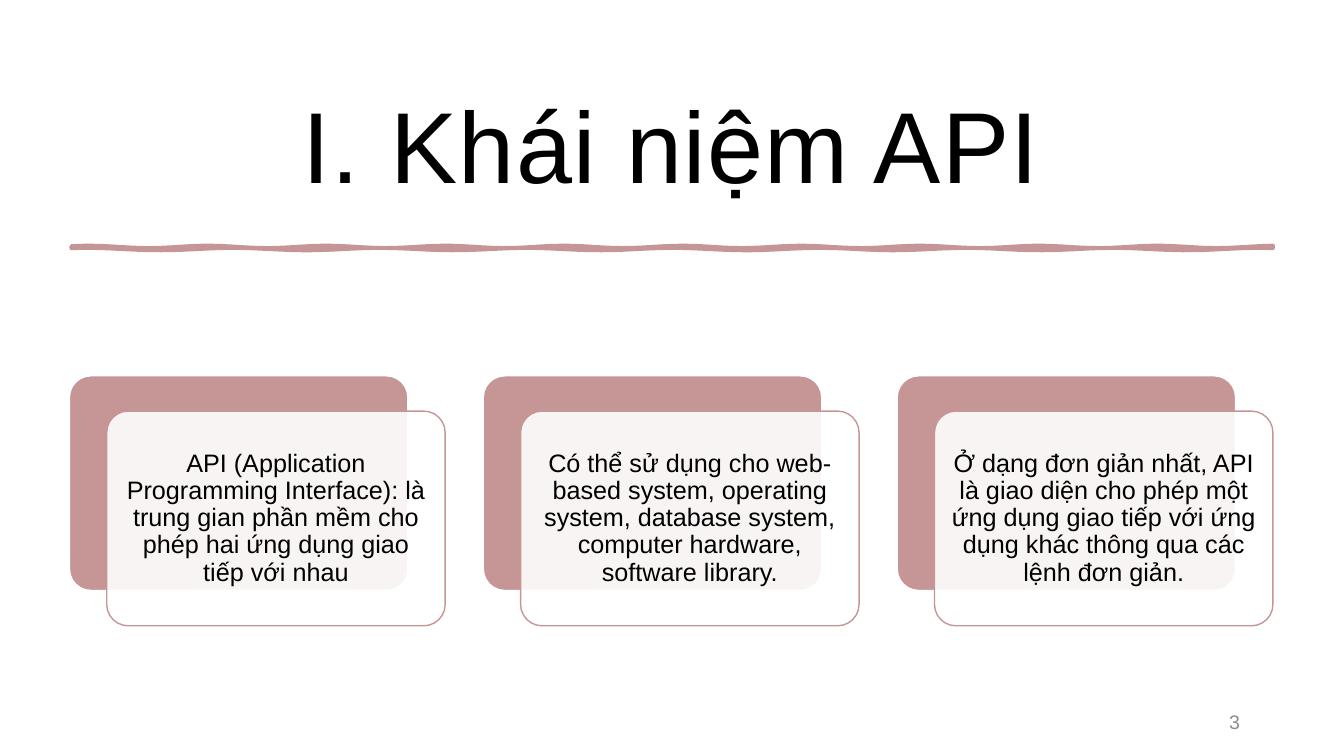
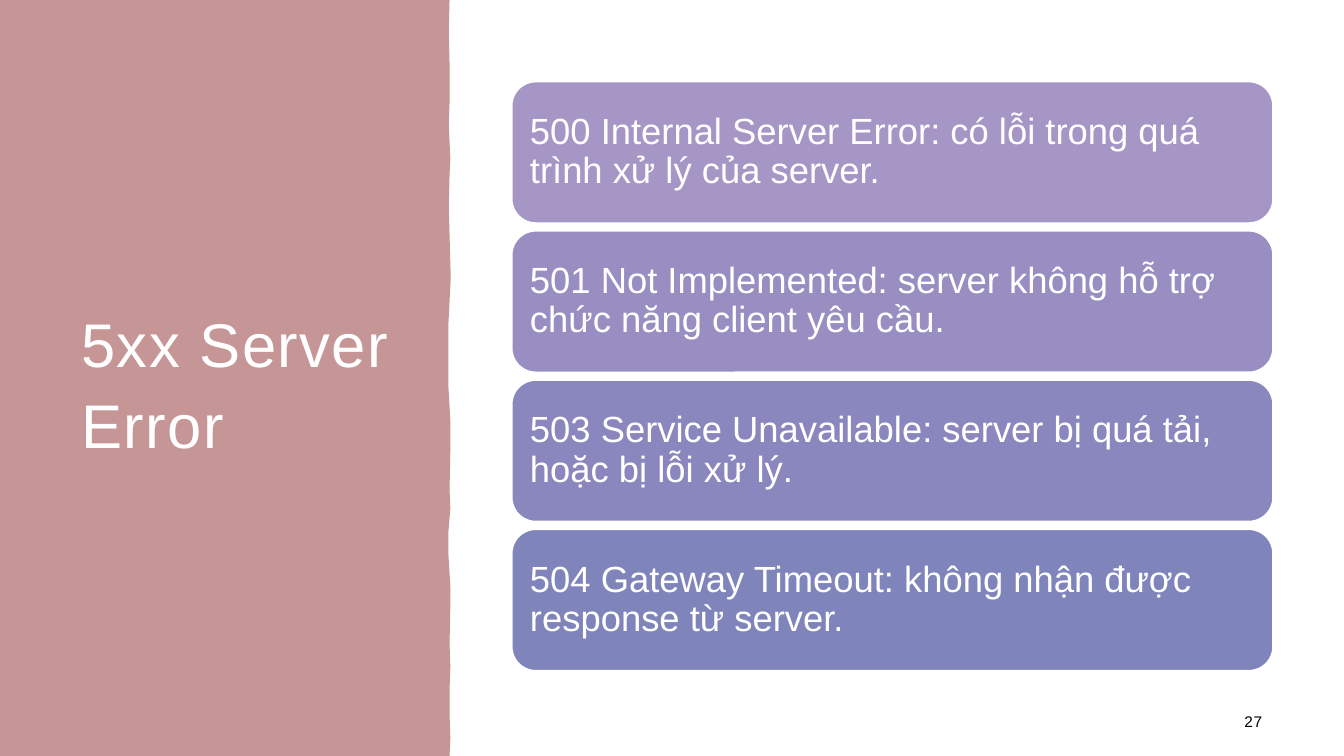
from math import sin
from lxml.etree import SubElement
from pptx import Presentation
from pptx.dml.color import RGBColor
from pptx.enum.shapes import MSO_SHAPE
from pptx.enum.text import MSO_ANCHOR, MSO_AUTO_SIZE, PP_ALIGN
from pptx.oxml.ns import qn
from pptx.util import Cm, Pt

HUES = {
    "rose": "C69697",
    "white": "FFFFFF",
    "black": "000000",
    "grey": "8C8C8C",
    "bars": ["A696C6", "988EC2", "8A87BE", "7F84BA"],
}
FONT = "Arial"
WIDE, HIGH = 33.87, 19.05
EDGE = 1.75
PADS = (0.3, 0.3, 0.3, 0.25)

CARDS = [
    "API (Application Programming Interface): là trung gian phần mềm cho phép hai ứng dụng giao tiếp với nhau",
    "Có thể sử dụng cho web-based system, operating system, database system, computer hardware, software library.",
    "Ở dạng đơn giản nhất, API là giao diện cho phép một ứng dụng giao tiếp với ứng dụng khác thông qua các lệnh đơn giản.",
]
BARS = [
    "500 Internal Server Error: có lỗi trong quá trình xử lý của server.",
    "501 Not Implemented: server không hỗ trợ chức năng client yêu cầu.",
    "503 Service Unavailable: server bị quá tải, hoặc bị lỗi xử lý.",
    "504 Gateway Timeout: không nhận được response từ server.",
]
TORN = [
    (11.33, 0), (11.31, 0.8), (11.33, 1.6), (11.33, 2.59), (11.31, 3.1),
    (11.33, 3.58), (11.35, 4), (11.33, 4.42), (11.31, 5.2), (11.33, 5.92),
    (11.36, 7), (11.3, 8.18), (11.3, 9.73), (11.35, 10.6), (11.35, 11.33),
    (11.33, 12.34), (11.35, 12.8), (11.3, 13.41), (11.3, 13.94),
    (11.35, 14.8), (11.35, 15.24), (11.33, 16.23), (11.35, 16.8),
    (11.33, 17.4), (11.33, 18), (11.35, 18.62), (11.33, HIGH),
]


def tint(name):
    return RGBColor.from_string(name)


def paint(shape, fill, line=None, width=1):
    shape.shadow.inherit = False
    shape.fill.solid()
    shape.fill.fore_color.rgb = tint(fill)
    if line:
        shape.line.color.rgb = tint(line)
        shape.line.width = Pt(width)
    else:
        shape.line.fill.background()


def fade(shape, share):
    color = shape.fill._xPr.find(qn("a:solidFill"))[0]
    SubElement(color, qn("a:alpha")).set("val", str(share * 1000))


def write(shape, text, size, hue, align, pads=PADS, lead=1.0, track=0):
    frame = shape.text_frame
    frame.word_wrap = True
    frame.auto_size = MSO_AUTO_SIZE.NONE
    frame.vertical_anchor = MSO_ANCHOR.MIDDLE
    (frame.margin_left, frame.margin_top,
     frame.margin_right, frame.margin_bottom) = map(Cm, pads)
    para = frame.paragraphs[0]
    para.alignment = align
    para.line_spacing = lead
    run = para.add_run()
    run.text = text
    if track:
        run._r.get_or_add_rPr().set("spc", str(round(track * 100)))
    para.font.name = FONT
    para.font.size = Pt(size)
    para.font.color.rgb = tint(hue)


def head(slide, text, box, size, hue, align, lead=1.0):
    title = slide.shapes.title
    title.left, title.top, title.width, title.height = map(Cm, box)
    write(title, text, size, hue, align, lead=lead, track=1)


def page(slide, text, right, size, hue):
    wide = 5.08
    box = slide.shapes.add_textbox(
        Cm(right - wide), Cm(17.65), Cm(wide), Cm(1.02))
    write(box, text, size, hue, PP_ALIGN.RIGHT, track=0.4)


def trace(slide, points):
    spots = [(Cm(x), Cm(y)) for x, y in points]
    pen = slide.shapes.build_freeform(*spots[0])
    pen.add_line_segments(spots[1:], close=True)
    return pen.convert_to_shape()


def wave(slide, left, right, top, thick):
    count = 120
    step = (right - left) / count
    spans = [left + step * i for i in range(count + 1)]
    upper = [(x, top + 0.03 * sin(2.1 * x)) for x in spans]
    lower = [(x, top + thick + 0.03 * sin(1.7 * x + 1)) for x in spans]
    paint(trace(slide, upper + lower[::-1]),
          HUES["rose"], HUES["rose"], 2.75)


def block(slide, box, fill, line, bend):
    shape = slide.shapes.add_shape(
        MSO_SHAPE.ROUNDED_RECTANGLE, *map(Cm, box))
    shape.adjustments[0] = bend
    paint(shape, fill, line)
    return shape


def card(slide, left, top, text):
    size = (8.53, 5.41)
    block(slide, (left, top, *size), HUES["rose"], HUES["white"], 0.1)
    front = block(slide, (left + 0.94, top + 0.89, *size),
                  HUES["white"], HUES["rose"], 0.1)
    fade(front, 90)
    write(front, text, 18, HUES["black"], PP_ALIGN.CENTER, (0.18,) * 4, 0.9)


def bar(slide, top, fill, text):
    shape = block(slide, (12.9, top, 19.18, 3.56),
                  fill, HUES["white"], 0.17)
    write(shape, text, 26, HUES["white"], PP_ALIGN.LEFT, (0.28,) * 4, 0.9)


def draw_cards(slide):
    head(slide, "I. Khái niệm API", (EDGE, EDGE, 30.33, 3.66),
         72, HUES["black"], PP_ALIGN.CENTER)
    wave(slide, 1.8, 32.08, 6.22, 0.06)
    for i, text in enumerate(CARDS):
        card(slide, EDGE + 10.43 * i, 9.47, text)
    page(slide, "3", 31.55, 14, HUES["grey"])


def draw_bars(slide):
    panel = trace(slide, [(0, 0), *TORN, (0, HIGH)])
    paint(panel, HUES["rose"])
    slide.shapes.title._element.addprevious(panel._element)
    head(slide, "5xx Server Error", (EDGE, 1.78, 8.61, 15.52),
         44, HUES["white"], PP_ALIGN.LEFT, 1.1)
    for i, (fill, text) in enumerate(zip(HUES["bars"], BARS)):
        bar(slide, 2.06 + 3.76 * i, fill, text)
    page(slide, "27", 32.11, 11, HUES["black"])


def main():
    deck = Presentation()
    deck.slide_width, deck.slide_height = Cm(WIDE), Cm(HIGH)
    for draw in (draw_cards, draw_bars):
        draw(deck.slides.add_slide(deck.slide_layouts[5]))
    deck.save("out.pptx")


if __name__ == "__main__":
    main()
